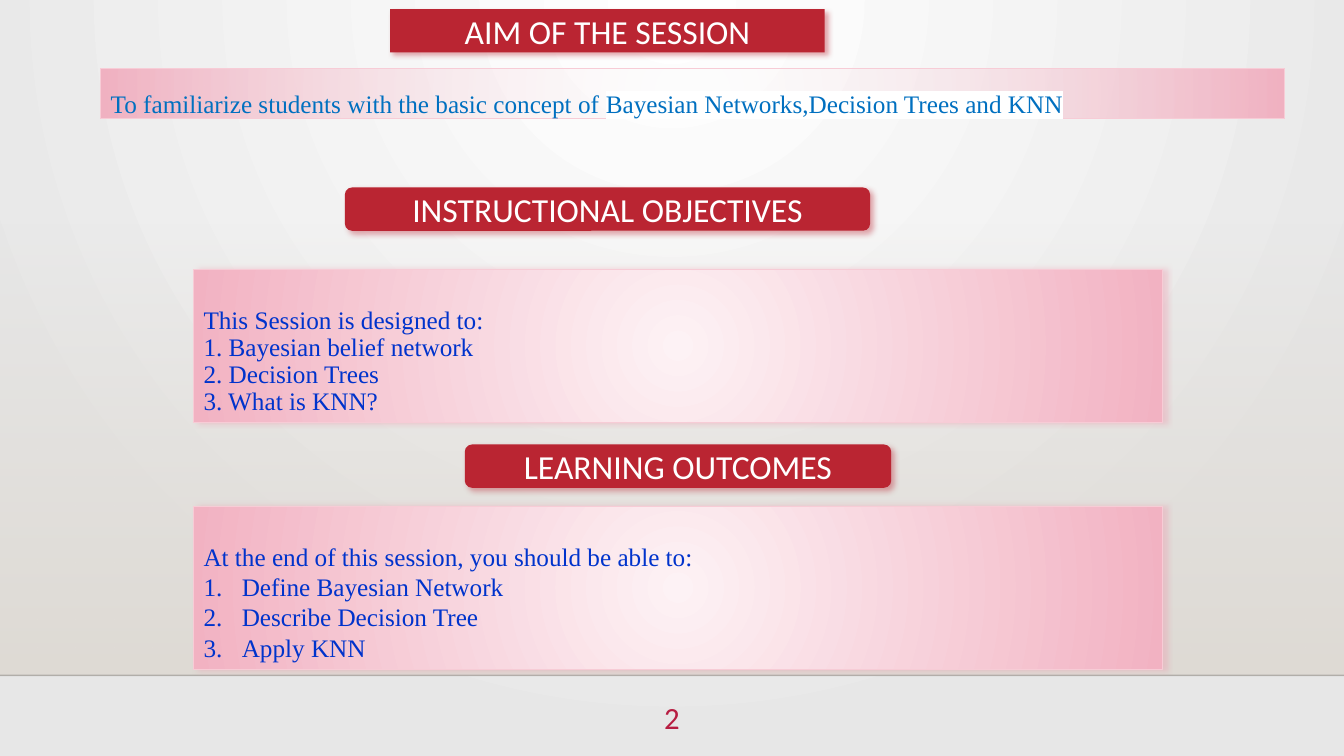
from dataclasses import dataclass

from lxml.etree import SubElement
from pptx import Presentation
from pptx.dml.color import RGBColor
from pptx.enum.shapes import MSO_CONNECTOR, MSO_SHAPE
from pptx.enum.text import MSO_ANCHOR, MSO_AUTO_SIZE, PP_ALIGN
from pptx.oxml import parse_xml
from pptx.oxml.ns import nsdecls, qn
from pptx.util import Emu, Pt

PX = 9144  # EMU in one px, 100 px to the inch
SLIDE_WIDTH, SLIDE_HEIGHT = 1333, 750
FOOTER_TOP = 670
HEADING_HEIGHT = 43
HEADING_FONT, BODY_FONT = "Calibri", "Times New Roman"
CENTRE = (50, 50, 50, 50)
COLOURS = {
    "white": "FFFFFF", "grey": "E7E7E7", "sand": "DFDBD5", "rule": "000001",
    "red": "BA2532", "number": "B71E42", "blush": "FDF2F5", "pink": "F2B2C2",
    "border": "F7CCD6", "glow": "EE99AD", "sky": "0070C0", "blue": "0033CC",
}


@dataclass(frozen=True)
class Heading:
    text: str
    left: int
    top: int
    width: int


@dataclass(frozen=True)
class Line:
    spans: tuple[str, ...]  # every span after the first is highlighted
    spacing: float = 1.0
    numbered: bool = False


@dataclass(frozen=True)
class Panel:
    place: tuple[int, int, int, int]
    lines: tuple[Line, ...]
    colour: str = "blue"
    shadow: bool = True
    centre_alpha: int = 100


HEADINGS = (
    Heading("AIM OF THE SESSION", 387, 9, 431),
    Heading("INSTRUCTIONAL OBJECTIVES", 342, 186, 521),
    Heading("LEARNING OUTCOMES", 461, 441, 423),
)
PANELS = (
    Panel((100, 68, 1174, 50), (
        Line(("To familiarize students with the basic concept of ",
              "Bayesian Networks,Decision Trees and KNN"), 1.5),
    ), colour="sky", shadow=False, centre_alpha=0),
    Panel((192, 267, 961, 152), (
        Line(("This Session is designed to:",), 2.0),
        Line(("1. Bayesian belief network",), 0.9),
        Line(("2. Decision Trees",), 0.9),
        Line(("3. What is KNN?",), 0.9),
    )),
    Panel((192, 502, 961, 162), (
        Line(("At the end of this session, you should be able to:",), 2.0),
        Line(("Define Bayesian Network",), numbered=True),
        Line(("Describe Decision Tree",), numbered=True),
        Line(("Apply KNN",), numbered=True),
    )),
)


def px(*lengths: int) -> list[Emu]:
    return [Emu(length * PX) for length in lengths]


def rgb(name: str) -> RGBColor:
    return RGBColor.from_string(COLOURS[name])


def set_gradient(holder, start: str, end: str, start_alpha: int = 100, focus=None) -> None:
    """Replace a solid fill by a downward gradient, or a circular one around focus."""
    if focus:
        sides = " ".join(f'{side}="{part * 1000}"' for side, part in zip("ltrb", focus))
        shade = f'<a:path path="circle"><a:fillToRect {sides}/></a:path>'
    else:
        shade = '<a:lin ang="5400000" scaled="0"/>'
    solid = holder.find(qn("a:solidFill"))
    holder.replace(solid, parse_xml(
        f'<a:gradFill {nsdecls("a")} rotWithShape="1"><a:gsLst>'
        f'<a:gs pos="0"><a:srgbClr val="{COLOURS[start]}">'
        f'<a:alpha val="{start_alpha * 1000}"/></a:srgbClr></a:gs>'
        f'<a:gs pos="100000"><a:srgbClr val="{COLOURS[end]}"/></a:gs>'
        f'</a:gsLst>{shade}</a:gradFill>'))


def add_shadow(shape, colour: str, degrees: int) -> None:
    shape.shadow.inherit = False
    effects = shape.element.spPr.find(qn("a:effectLst"))
    effects.append(parse_xml(
        f'<a:outerShdw {nsdecls("a")} blurRad="{Pt(4)}" dist="{Pt(3)}" '
        f'dir="{degrees * 60000}" rotWithShape="0"><a:srgbClr val="{COLOURS[colour]}">'
        f'<a:alpha val="40000"/></a:srgbClr></a:outerShdw>'))


def style_font(font, name: str, size: int, colour: str) -> None:
    font.name, font.size = name, Pt(size)
    font.color.rgb = rgb(colour)


def draw_background(page) -> None:
    page.background.fill.solid()
    set_gradient(page.element.find(".//" + qn("p:bgPr")), "white", "grey",
                 focus=(43, 0, 43, 100))
    band = page.shapes.add_shape(MSO_SHAPE.RECTANGLE, *px(0, 221, SLIDE_WIDTH, FOOTER_TOP - 221))
    band.shadow.inherit = False
    band.fill.solid()
    set_gradient(band.element.spPr, "sand", "sand", start_alpha=0)
    band.line.fill.background()


def draw_footer(page) -> None:
    rule = page.shapes.add_connector(MSO_CONNECTOR.STRAIGHT,
                                     *px(0, FOOTER_TOP, SLIDE_WIDTH, FOOTER_TOP))
    rule.line.width = Pt(1)
    rule.line.color.rgb = rgb("rule")
    SubElement(rule.element.spPr.find(".//" + qn("a:srgbClr")), qn("a:alpha"), val="20000")
    SubElement(rule.element.spPr, qn("a:effectLst"))

    box = page.shapes.add_textbox(*px(622, 688, 89, 55))
    box.text_frame.word_wrap = True
    box.text_frame.text = "2"
    para = box.text_frame.paragraphs[0]
    para.alignment = PP_ALIGN.CENTER
    style_font(para.runs[0].font, HEADING_FONT, 22, "number")


def draw_heading(page, heading: Heading, is_title: bool) -> None:
    place = px(heading.left, heading.top, heading.width, HEADING_HEIGHT)
    if is_title:
        shape = page.shapes.title
        shape.left, shape.top, shape.width, shape.height = place
        shape.element.spPr.append(parse_xml(
            f'<a:prstGeom {nsdecls("a")} prst="roundRect"><a:avLst/></a:prstGeom>'))
    else:
        shape = page.shapes.add_shape(MSO_SHAPE.ROUNDED_RECTANGLE, *place)
    shape.fill.solid()
    shape.fill.fore_color.rgb = rgb("red")
    shape.line.fill.background()
    add_shadow(shape, "red", 45)
    frame = shape.text_frame
    frame.text = heading.text
    frame.word_wrap = True
    frame.auto_size = MSO_AUTO_SIZE.NONE
    frame.vertical_anchor = MSO_ANCHOR.MIDDLE
    frame.paragraphs[0].alignment = PP_ALIGN.CENTER
    style_font(frame.paragraphs[0].runs[0].font, HEADING_FONT, 24, "white")


def write_line(para, line: Line, colour: str) -> None:
    para.alignment = PP_ALIGN.LEFT
    para.line_spacing = line.spacing
    if line.numbered:
        properties = para._p.get_or_add_pPr()
        properties.set("marL", str(38 * PX))
        properties.set("indent", str(-38 * PX))
        SubElement(properties, qn("a:buFont"), typeface="+mj-lt")
        SubElement(properties, qn("a:buAutoNum"), type="arabicPeriod")
    for index, text in enumerate(line.spans):
        span = para.add_run()
        span.text = text
        style_font(span.font, BODY_FONT, 18, colour)
        if index:
            span._r.rPr.find(qn("a:solidFill")).addnext(parse_xml(
                f'<a:highlight {nsdecls("a")}><a:srgbClr val="{COLOURS["white"]}"/></a:highlight>'))


def draw_panel(page, panel: Panel) -> None:
    shape = page.shapes.add_shape(MSO_SHAPE.RECTANGLE, *px(*panel.place))
    shape.fill.solid()
    set_gradient(shape.element.spPr, "blush", "pink", panel.centre_alpha, CENTRE)
    shape.line.color.rgb = rgb("border")
    shape.line.width = Pt(0.75)
    shape.shadow.inherit = False
    if panel.shadow:
        add_shadow(shape, "glow", 0)
    frame = shape.text_frame
    frame.word_wrap = True
    frame.auto_size = MSO_AUTO_SIZE.SHAPE_TO_FIT_TEXT
    frame.vertical_anchor = MSO_ANCHOR.TOP
    for index, line in enumerate(panel.lines):
        para = frame.add_paragraph() if index else frame.paragraphs[0]
        write_line(para, line, panel.colour)


def main() -> None:
    deck = Presentation()
    deck.slide_width, deck.slide_height = px(SLIDE_WIDTH, SLIDE_HEIGHT)
    page = deck.slides.add_slide(deck.slide_layouts.get_by_name("Title Only"))
    draw_background(page)
    draw_footer(page)
    for index, (heading, panel) in enumerate(zip(HEADINGS, PANELS)):
        draw_heading(page, heading, is_title=index == 0)
        draw_panel(page, panel)
    deck.save("out.pptx")


if __name__ == "__main__":
    main()
